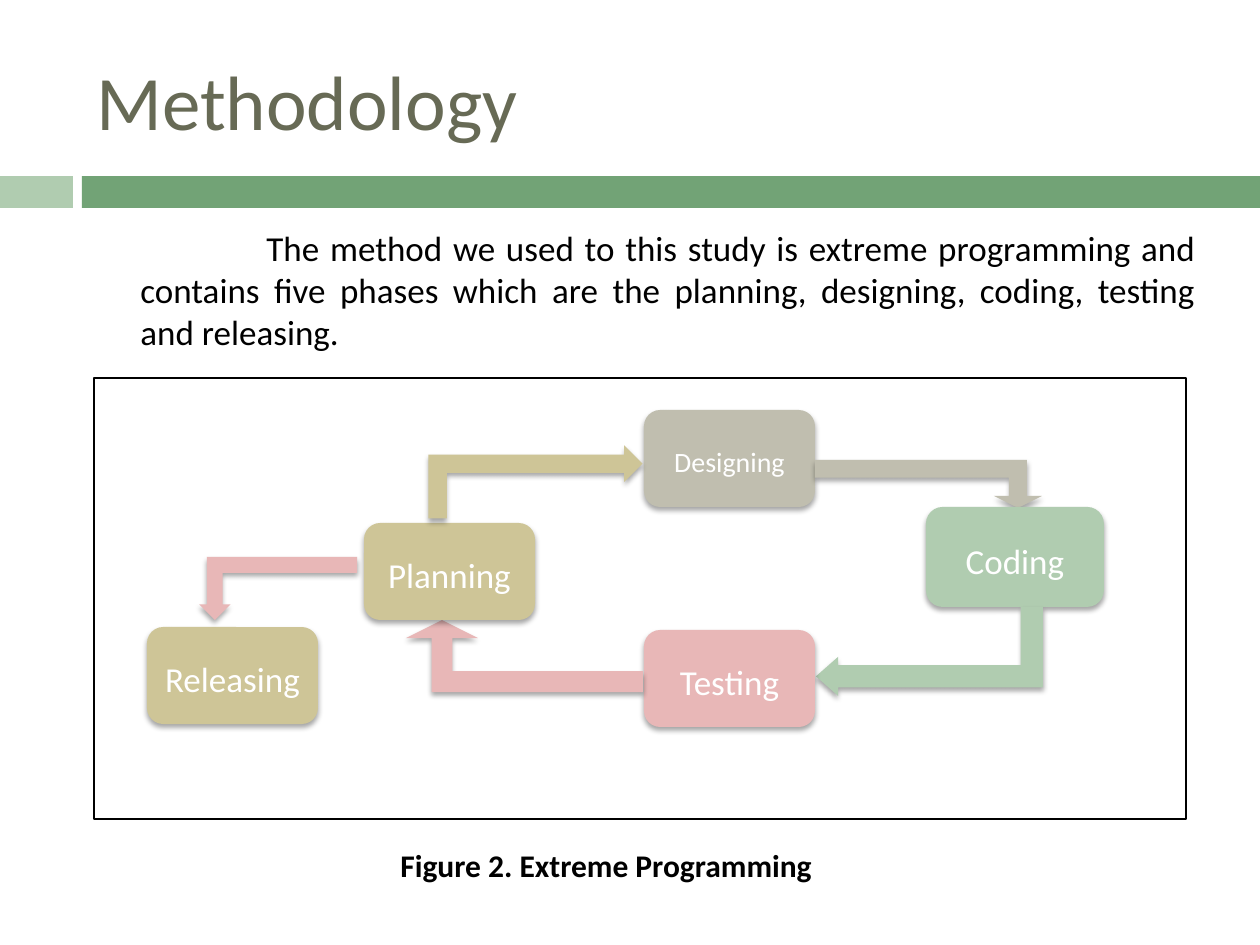
from lxml.etree import SubElement
from pptx import Presentation
from pptx.dml.color import RGBColor
from pptx.enum.shapes import MSO_SHAPE as Kind
from pptx.enum.text import MSO_ANCHOR as Anchor, PP_ALIGN as Align
from pptx.oxml.ns import qn
from pptx.util import Emu, Pt

SCALE = 914400 / 126
FONT = "Calibri"

BLACK = RGBColor(0x00, 0x00, 0x00)
WHITE = RGBColor(0xFF, 0xFF, 0xFF)
OLIVE = RGBColor(0x67, 0x6A, 0x55)
GREEN = RGBColor(0x72, 0xA3, 0x76)
MINT = RGBColor(0xB0, 0xCC, 0xB0)
GREY = RGBColor(0xC0, 0xBE, 0xAF)
PINK = RGBColor(0xE8, 0xB7, 0xB7)
SAND = RGBColor(0xCE, 0xC5, 0x97)

TITLE = "Methodology"
INTRO = ("The method we used to this study is extreme programming and contains "
         "five phases which are the planning, designing, coding, testing and releasing.")
CAPTION = "Figure 2. Extreme Programming"

BARS = [((0, 176, 73, 32), MINT), ((82, 176, 1178, 32), GREEN)]
FRAME = (94, 378, 1092, 441)

# name, box, text size, box colour
PHASES = [
    ("Designing", (644, 410, 171, 97), 16, GREY),
    ("Coding", (926, 507, 178, 100), 20, MINT),
    ("Testing", (644, 630, 171, 97), 20, PINK),
    ("Planning", (364, 523, 171, 97), 20, SAND),
    ("Releasing", (147, 627, 171, 97), 20, SAND),
]
# box before rotation, turn, flipped, adjustments, colour; one for each phase
ARROWS = [
    ((815, 460, 227, 48), 0, True, (0.37, 0.5, 0.25), GREY),
    ((885, 538, 89, 227), 90, True, (0.25, 0.22, 0.25), MINT),
    ((406, 620, 237, 72), 180, True, (0.29, 0.5, 0.25), PINK),
    ((499, 375, 73, 214), 270, True, (0.25, 0.25, 0.25), SAND),
    ((199, 557, 158, 63), 180, False, (0.25, 0.25, 0.25), PINK),
]


def px(n):
    return Emu(round(n * SCALE))


def write(shape, text, size, color=BLACK, bold=False, align=Align.LEFT,
          anchor=Anchor.TOP, wrap=True, line=None, before=0, after=0,
          left=0, indent=0):
    frame = shape.text_frame
    frame.word_wrap = wrap
    frame.vertical_anchor = anchor
    para = frame.paragraphs[0]
    para.alignment = align
    para.line_spacing = line
    para.space_before, para.space_after = Pt(before), Pt(after)
    props = para._p.get_or_add_pPr()
    props.set("marL", str(px(left)))
    props.set("indent", str(px(indent)))
    run = para.add_run()
    run.text = text
    font = run.font
    font.name, font.size, font.bold = FONT, Pt(size), bold
    font.color.rgb = color


def label(slide, box, text, size, **style):
    write(slide.shapes.add_textbox(*map(px, box)), text, size, **style)


def block(slide, kind, box, fill=None):
    shape = slide.shapes.add_shape(kind, *map(px, box))
    shape.shadow.inherit = False
    if fill is None:
        shape.fill.background()
    else:
        shape.fill.solid()
        shape.fill.fore_color.rgb = fill
    shape.line.fill.background()
    return shape


def shade(shape):
    """Give the shape a soft shadow that falls straight down."""
    effects = shape._element.spPr.find(qn("a:effectLst"))
    outer = SubElement(effects, qn("a:outerShdw"), blurRad=str(Pt(3)),
                       dist=str(Pt(2)), dir="5400000", rotWithShape="0")
    color = SubElement(outer, qn("a:srgbClr"), val=str(BLACK))
    SubElement(color, qn("a:alpha"), val="35000")


def phase(slide, name, box, size, fill):
    shape = block(slide, Kind.ROUNDED_RECTANGLE, box, fill)
    shade(shape)
    write(shape, name, size, color=WHITE, align=Align.CENTER,
          anchor=Anchor.MIDDLE, wrap=False, line=1.15, after=10)


def arrow(slide, box, turn, flip, adjust, fill):
    shape = block(slide, Kind.BENT_UP_ARROW, box, fill)
    shade(shape)
    shape.rotation = turn
    if flip:
        shape._element.spPr.find(qn("a:xfrm")).set("flipV", "1")
    for i, value in enumerate(adjust):
        shape.adjustments[i] = value


def main():
    deck = Presentation()
    deck.slide_width, deck.slide_height = px(1260), px(945)
    slide = deck.slides.add_slide(deck.slide_layouts[6])

    for box, fill in BARS:
        block(slide, Kind.RECTANGLE, box, fill)
    label(slide, (84, 32, 1124, 136), TITLE, 44, color=OLIVE, anchor=Anchor.MIDDLE)
    label(slide, (84, 220, 1124, 150), INTRO, 20, align=Align.JUSTIFY,
          before=7, left=44, indent=126)

    frame = block(slide, Kind.RECTANGLE, FRAME)
    frame.line.color.rgb = BLACK
    frame.line.width = Pt(1.5)
    for step, link in zip(PHASES, ARROWS):
        phase(slide, *step)
        arrow(slide, *link)
    label(slide, (388, 840, 452, 50), CAPTION, 18, bold=True)

    deck.save("out.pptx")


if __name__ == "__main__":
    main()
